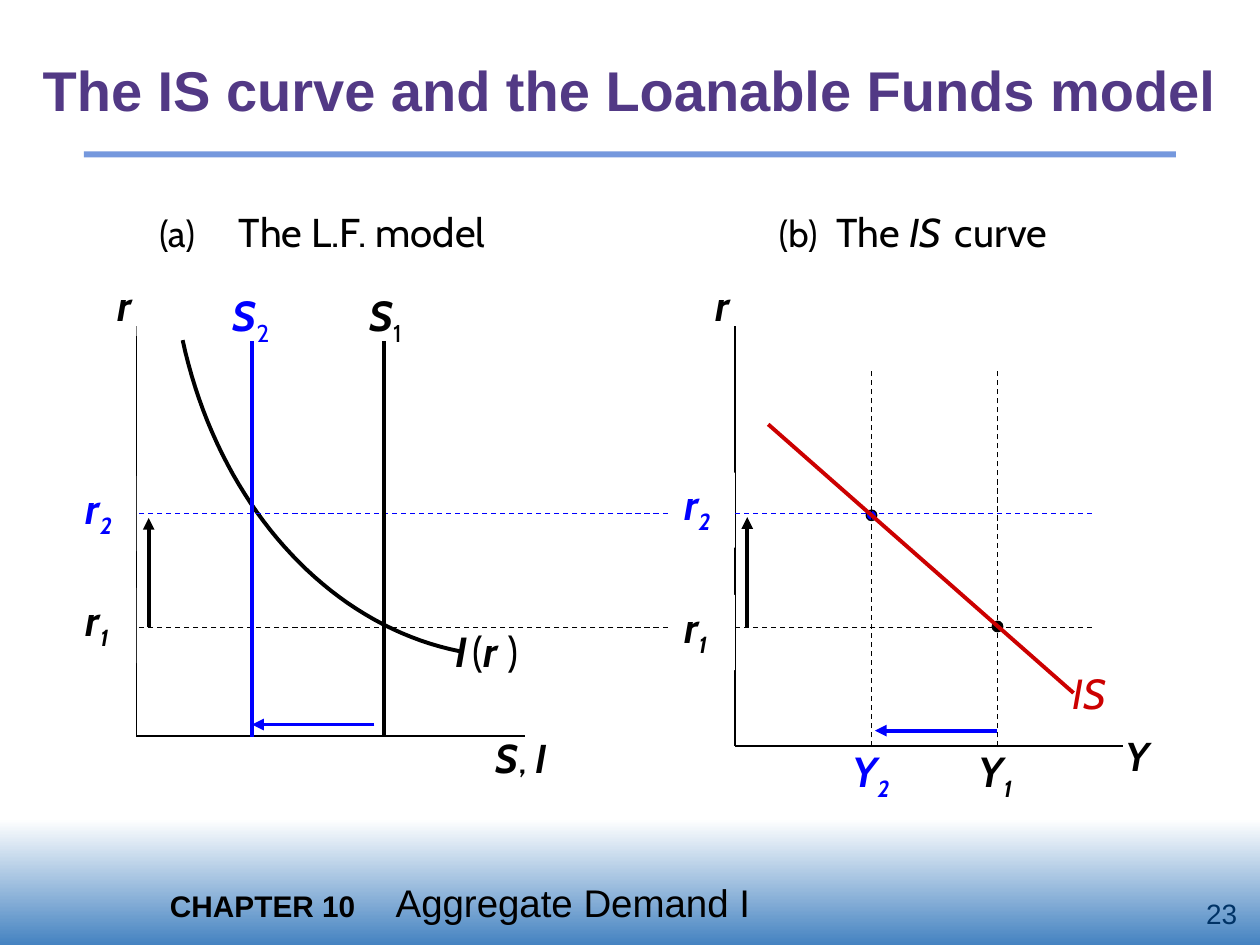
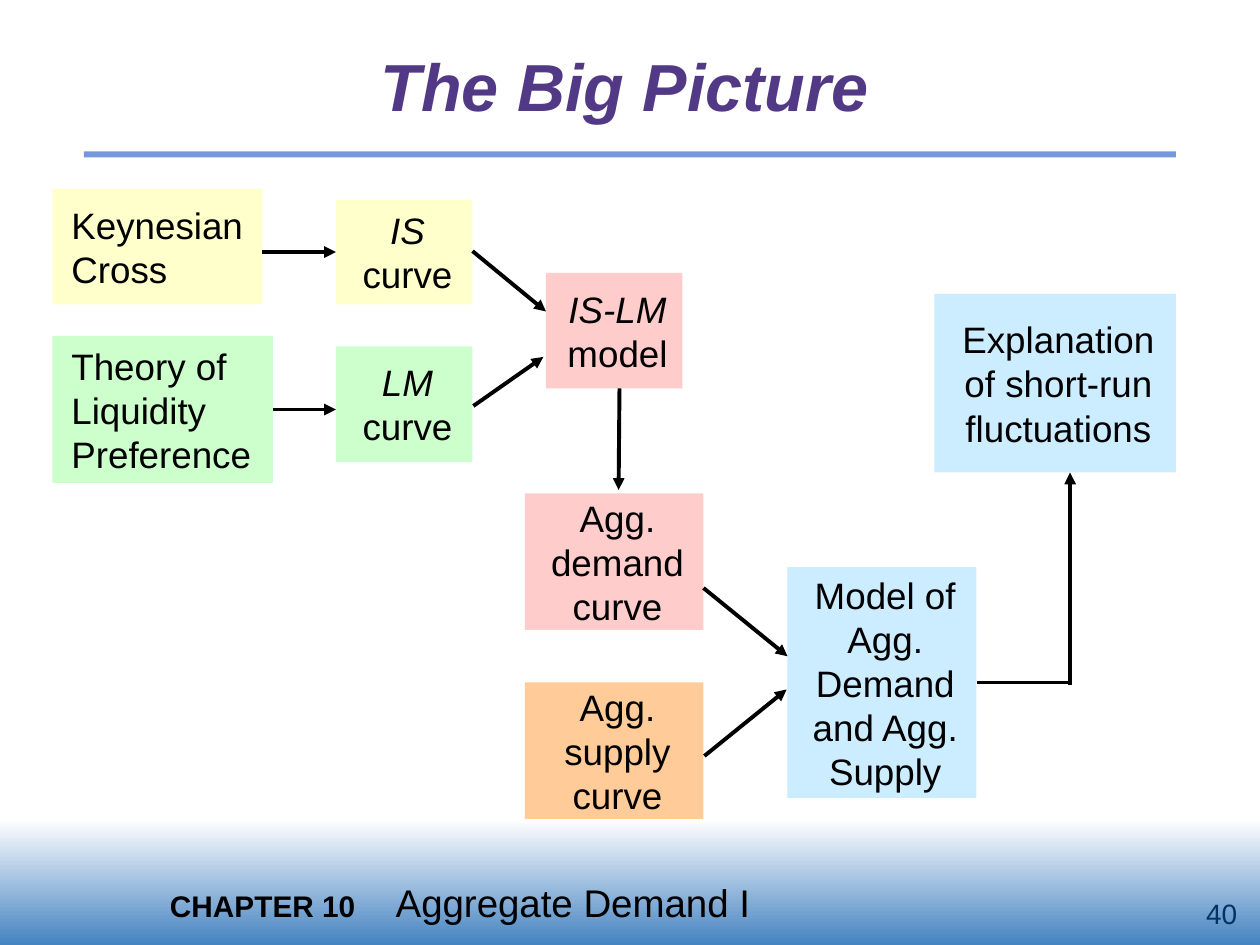
import pptx
import pptx.util
import pptx.dml.color
import pptx.enum.dml
import pptx.enum.shapes
import pptx.enum.text
import pptx.oxml
import pptx.oxml.ns

Pt = pptx.util.Pt
RGB = pptx.dml.color.RGBColor
ALIGN = pptx.enum.text.PP_ALIGN
ANCHOR = pptx.enum.text.MSO_ANCHOR
SHAPE = pptx.enum.shapes.MSO_SHAPE
qn = pptx.oxml.ns.qn

BLACK, WHITE = RGB(0, 0, 0), RGB(255, 255, 255)
BLUE, RED = RGB(0, 0, 255), RGB(0xCC, 0, 0)
TITLE_PURPLE, RULE_BLUE = RGB(0x52, 0x39, 0x85), RGB(0x75, 0x98, 0xDD)
BAND_BLUE, NUMBER_BLUE = RGB(0x45, 0x83, 0xC1), RGB(0, 0x33, 0x66)
YELLOW, GREEN = RGB(0xFF, 0xFF, 0xCC), RGB(0xCC, 0xFF, 0xCC)
PINK, ORANGE = RGB(0xFF, 0xCC, 0xCC), RGB(0xFF, 0xCC, 0x99)
SKY = RGB(0xCC, 0xEC, 0xFF)

SANS, MATH = "Arial", "Cabin"
INSETS = (7.2, 3.6, 7.2, 3.6)
RATE_INSETS = (7.2, 3.6, 0, 7.2)

# A run is (text, size, style); style letters: b bold, i italic, s subscript
FOOTER = [("CHAPTER 10", 17, "b"), ("\tAggregate Demand I", 22, "")]

# Loanable funds panel and IS panel
R1, R2 = 358.5, 293.5
S1, S2 = 219.5, 144
Y1, Y2 = 570, 498
AXES = [(78, 186.5, 300, 420.5), (420, 186.5, 642, 426.5)]
INVESTMENT = [(262.8, 372.2), (186.5, 357), (124.5, 287.3), (104.4, 194.4)]
IS_CURVE = ((439, 242.5), (613.5, 396))
HEADINGS = [
    ((84, 115, 282, 35), [("(a)", 21, ""), ("\tThe L.F. model", 23, "")], 45.5),
    ((438, 115, 216, 35), [("(b)", 21, ""), ("\tThe ", 23, ""), ("IS ", 23, "i"),
                           (" ", 11, ""), ("curve", 23, "")], 33),
]
AXIS_LABELS = [
    ((276, 415.5, 72, 35), [("S", 23, "bi"), (", ", 23, ""), ("I", 23, "bi")]),
    ((402, 156, 36, 36), [("r", 24, "bi")]),
    ((636, 414.5, 36, 35), [("Y", 23, "bi")]),
]
# left, top, subscript, colour, opacity in percent
RATE_LABELS = [(42, 336, "1", BLACK, 50), (42, 272, "2", BLUE, 50),
               (384, 340, "1", BLACK, 100), (384, 270, "2", BLUE, 100)]
SHIFT_ARROWS = [((85, R1), (85, 296), BLACK), ((427, R1), (427, 295.5), BLACK),
                ((214, 414), (S2, 414), BLUE), ((Y1, 417.5), (500, 417.5), BLUE)]

# Flow chart: box, fill, alignment, pieces of (text, style)
L, C = ALIGN.LEFT, ALIGN.CENTER
BOXES = [
    ((30, 108, 120, 66), YELLOW, L, [("Keynesian\nCross", "")]),
    ((30, 192, 126, 84), GREEN, L, [("Theory of Liquidity Preference", "")]),
    ((192, 114, 78, 60), YELLOW, C, [("IS\n", "i"), ("curve", "")]),
    ((192, 198, 78, 66), GREEN, C, [("LM", "i"), (" curve", "")]),
    ((312, 156, 78, 66), PINK, C, [("IS-LM\n", "i"), ("model", "")]),
    ((300, 282, 102, 78), PINK, C, [("Agg. demand\ncurve", "")]),
    ((300, 390, 102, 78), ORANGE, C, [("Agg. supply\ncurve", "")]),
    ((450, 324, 108, 132), SKY, C, [("Model of Agg. Demand and Agg. Supply", "")]),
    ((534, 168, 138, 102), SKY, C, [("Explanation of short-run fluctuations", "")]),
]
FLOWS = [((150, 144), (192, 144)), ((156, 234), (192, 234)),
         ((270, 143.5), (312, 178)), ((270.5, 232), (310.5, 204)),
         ((354, 222), (353.5, 280)), ((402, 336), (450, 375)),
         ((402.5, 432), (449.5, 394)), ((611.5, 391.5), (611.5, 270))]
LAST_FLOW_STEM = ((558, 390), (612.5, 390))


def append_tag(parent, tag, **attributes):
    """Append an empty DrawingML element to parent."""
    el = pptx.oxml.parse_xml(
        f'<a:{tag} xmlns:a="http://schemas.openxmlformats.org/drawingml/2006/main"/>')
    for name, value in attributes.items():
        el.set(name, value)
    parent.append(el)


def write(sp, runs, font, color, align=L, insets=INSETS, anchor=ANCHOR.TOP, hang=0):
    """Fill a shape's single paragraph; hang is where a tab leads to."""
    tf = sp.text_frame
    tf.word_wrap = True
    tf.auto_size = pptx.enum.text.MSO_AUTO_SIZE.NONE
    tf.vertical_anchor = anchor
    tf.margin_left, tf.margin_top, tf.margin_right, tf.margin_bottom = map(Pt, insets)
    p = tf.paragraphs[0]
    p.alignment = align
    if hang:
        pPr = p._p.get_or_add_pPr()
        pPr.set("marL", str(int(Pt(hang))))
        pPr.set("indent", str(-int(Pt(hang))))
    for text, size, style in runs:
        for n, part in enumerate(text.split("\n")):
            if n:
                p.add_line_break()
            if not part:
                continue
            r = p.add_run()
            r.text = part
            r.font.name, r.font.size = font, Pt(size)
            r.font.bold, r.font.italic = "b" in style, "i" in style
            r.font.color.rgb = color
            if "s" in style:
                r._r.get_or_add_rPr().set("baseline", "-25000")
    return p


def add_label(s, box, runs, color=BLACK, font=MATH, **options):
    sp = s.shapes.add_textbox(*map(Pt, box))
    write(sp, runs, font, color, **options)
    return sp


def set_white(sp, opacity):
    sp.fill.solid()
    sp.fill.fore_color.rgb = WHITE
    if opacity < 100:
        clr = sp._element.spPr.find(qn("a:solidFill"))[0]
        append_tag(clr, "alpha", val=str(opacity * 1000))


def add_block(s, box, fill, kind=SHAPE.RECTANGLE):
    sp = s.shapes.add_shape(kind, *map(Pt, box))
    sp.shadow.inherit = False
    sp.fill.solid()
    sp.fill.fore_color.rgb = fill
    sp.line.fill.background()
    return sp


def add_line(s, start, end, color=BLACK, width=2.25, dashed=False, arrow=False):
    ln = s.shapes.add_connector(pptx.enum.shapes.MSO_CONNECTOR.STRAIGHT,
                                *map(Pt, (*start, *end)))
    ln.line.color.rgb = color
    ln.line.width = Pt(width)
    if dashed:
        ln.line.dash_style = pptx.enum.dml.MSO_LINE.DASH
    spPr = ln._element.spPr
    if arrow:
        append_tag(spPr.find(qn("a:ln")), "tailEnd", type="triangle")
    append_tag(spPr, "effectLst")


def add_dot(s, x, y, fill):
    sp = add_block(s, (x - 3, y - 3, 6, 6), fill, SHAPE.OVAL)
    sp.line.color.rgb = BLACK
    sp.line.width = Pt(0.75)


def add_bezier(s, a, b, c, d, steps=40):
    def point(t):
        u = 1 - t
        return tuple(Pt(u**3 * i + 3 * u * u * t * j + 3 * u * t * t * k + t**3 * m)
                     for i, j, k, m in zip(a, b, c, d))

    points = [point(n / steps) for n in range(steps + 1)]
    builder = s.shapes.build_freeform(*points[0])
    builder.add_line_segments(points[1:], close=False)
    sp = builder.convert_to_shape()
    sp.shadow.inherit = False
    sp.fill.background()
    sp.line.color.rgb = BLACK
    sp.line.width = Pt(2.25)


def add_slide(prs, title, size, style, box, number):
    """Add a slide with the shared band, rule and footer; return it and its title paragraph."""
    s = prs.slides.add_slide(prs.slide_layouts[5])
    band = add_block(s, (0, 468, 720, 72), WHITE)
    band.fill.gradient()
    band.fill.gradient_angle = 270
    for stop, color, position in zip(band.fill.gradient_stops, (WHITE, BAND_BLUE), (0, 1)):
        stop.color.rgb, stop.position = color, position
    add_block(s, (48, 86.5, 624, 3.5), RULE_BLUE)
    add_label(s, (90, 498.5, 600, 34), FOOTER, font=SANS, hang=129)
    add_label(s, (624, 510, 90, 24), [(str(number), 16, "")], NUMBER_BLUE, SANS,
              align=ALIGN.RIGHT, anchor=ANCHOR.MIDDLE)
    sp = s.shapes.title
    sp.left, sp.top, sp.width, sp.height = map(Pt, box)
    p = write(sp, [(title, size, style)], SANS, TITLE_PURPLE, C, anchor=ANCHOR.MIDDLE)
    return s, p


def build_curves(prs):
    s, _ = add_slide(prs, "The IS curve and the Loanable Funds model", 32, "b",
                     (12, 18, 696, 66), 23)
    add_dot(s, Y2, 294.5, BLUE)
    for left, top, right, bottom in AXES:
        add_line(s, (left, top), (left, bottom), width=1)
        add_line(s, (left, bottom), (right, bottom), width=1)
    set_white(add_label(s, (60, 156, 36, 36), [("r", 24, "bi")]), 50)
    for box, runs in AXIS_LABELS:
        add_label(s, box, runs)
    add_bezier(s, *INVESTMENT)
    add_label(s, (253.5, 354, 119, 36), [("I", 24, "bi"), (" ", 12, "bi"), ("(", 24, ""),
                                         ("r", 24, "bi"), (" ", 24, "bi"), (")", 24, "")])
    for y, color in ((R1, BLACK), (R2, BLUE)):
        add_line(s, (624, y), (78, y), color, 0.75, dashed=True)
    for left, top, sub, color, opacity in RATE_LABELS:
        sp = add_label(s, (left, top, 36, 43), [("r", 24, "bi"), (sub, 23, "bis")],
                       color, insets=RATE_INSETS)
        set_white(sp, opacity)
    for x, sub, color in ((Y1, "1", BLACK), (Y2, "2", BLUE)):
        add_line(s, (x, 426.5), (x, 210.5), width=0.75, dashed=True)
        add_label(s, (x - 18, 422.5, 42, 43), [("Y", 24, "bi"), (sub, 23, "bis")], color)
    add_dot(s, Y1, 358, BLACK)
    for start, end, color in SHIFT_ARROWS:
        add_line(s, start, end, color, arrow=True)
    for box, runs, hang in HEADINGS:
        add_label(s, box, runs, hang=hang)
    for x, left, sub, color in ((S1, 204, "1", BLACK), (S2, 126, "2", BLUE)):
        add_line(s, (x, 421), (x, 195), color)
        add_label(s, (left, 162, 48, 40), [("S", 24, "bi"), (sub, 24, "s")], color)
    add_line(s, *IS_CURVE, RED)
    add_label(s, (606, 378, 48, 36), [("IS", 24, "i")], RED)


def build_big_picture(prs):
    s, p = add_slide(prs, "The Big Picture", 38, "bi", (54, 18, 606, 66), 40)
    p.line_spacing = 0.95
    for box, fill, align, pieces in BOXES:
        write(add_block(s, box, fill), [(text, 21, style) for text, style in pieces],
              SANS, BLACK, align, (10.8, 3.6, 7.2, 3.6), ANCHOR.MIDDLE)
    add_line(s, *LAST_FLOW_STEM)
    for start, end in FLOWS:
        add_line(s, start, end, arrow=True)


def main():
    prs = pptx.Presentation()
    prs.slide_width, prs.slide_height = Pt(720), Pt(540)
    build_curves(prs)
    build_big_picture(prs)
    prs.save("out.pptx")


if __name__ == "__main__":
    main()
